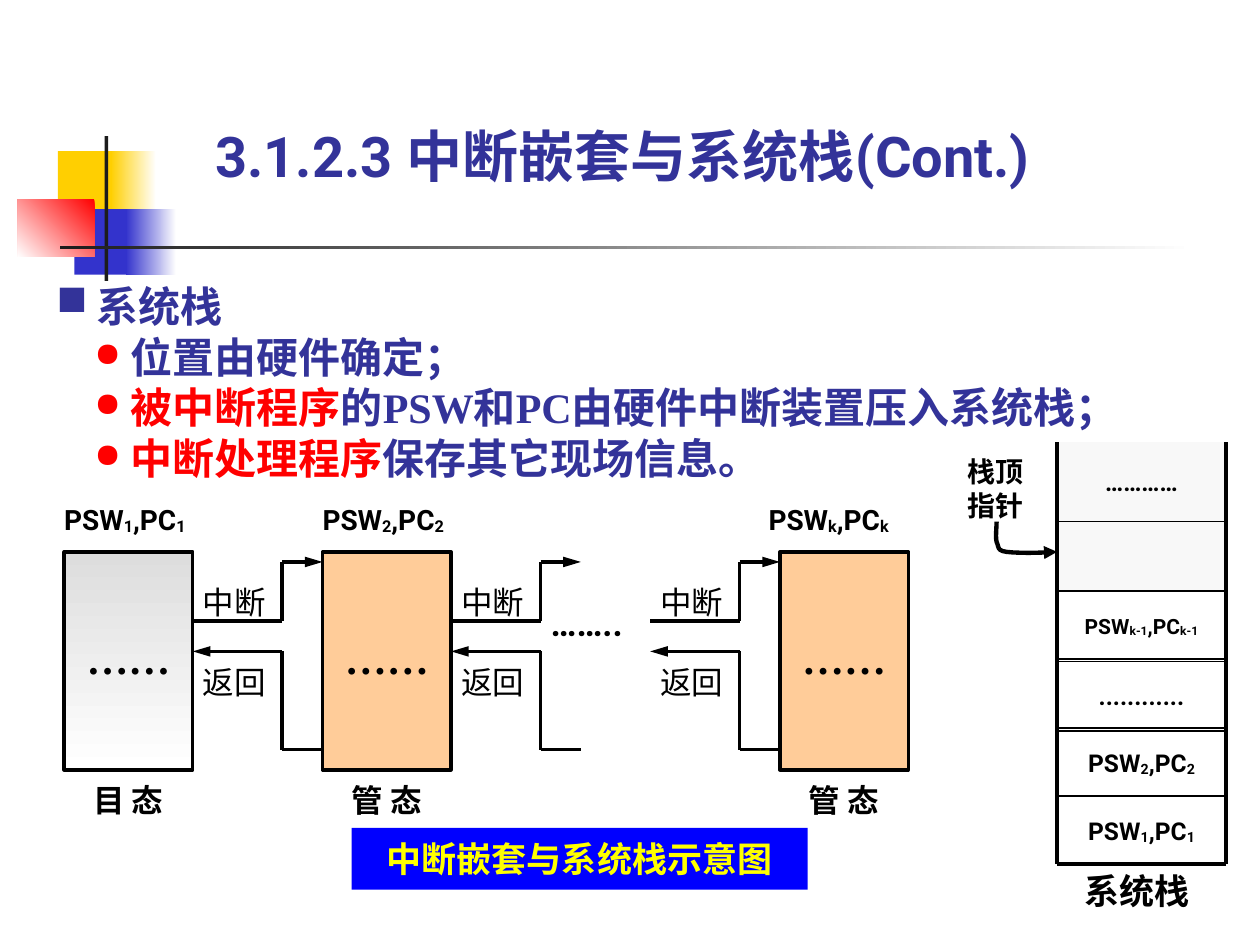
from lxml import etree
from pptx import Presentation
from pptx.dml.color import RGBColor
from pptx.enum.shapes import MSO_CONNECTOR, MSO_SHAPE
from pptx.enum.text import MSO_ANCHOR as ANCHOR, PP_ALIGN as ALIGN
from pptx.oxml.ns import qn
from pptx.util import Inches, Pt

BLACK = RGBColor(0, 0, 0)
WHITE = RGBColor(255, 255, 255)
NAVY = RGBColor(0x33, 0x33, 0x99)
INDIGO = RGBColor(0x33, 0x33, 0xCC)
RED = RGBColor(255, 0, 0)
GOLD = RGBColor(0xFF, 0xCF, 0x01)
YELLOW = RGBColor(255, 255, 0)
BLUE = RGBColor(0, 0, 255)
PEACH = RGBColor(0xFF, 0xCC, 0x99)
CHARCOAL = RGBColor(0x1C, 0x1C, 0x1C)
GREY = RGBColor(0xDD, 0xDD, 0xDD)
PALE = RGBColor(0xF8, 0xF8, 0xF8)
SERIF, SANS = "Times New Roman", "Roboto"

deck = Presentation()
deck.slide_width, deck.slide_height = Inches(10), Inches(7.5)
page = deck.slides.add_slide(deck.slide_layouts[6])


def add_box(place, text="", size=18, font=SERIF, color=BLACK, bold=True,
            fill=None, angle=0, border=None, align=ALIGN.LEFT,
            anchor=ANCHOR.TOP, insets=(0, 0, 0, 0), wrap=True):
    """Add a rectangle; a colour pair is a gradient, text between bars is subscript."""
    box = page.shapes.add_shape(MSO_SHAPE.RECTANGLE, *[Inches(v) for v in place])
    box.shadow.inherit = False
    if fill is None:
        box.fill.background()
    elif isinstance(fill, list):
        box.fill.gradient()
        box.fill.gradient_angle = angle
        for stop, shade in zip(box.fill.gradient_stops, fill):
            stop.color.rgb = shade
    else:
        box.fill.solid()
        box.fill.fore_color.rgb = fill
    if border:
        box.line.color.rgb = BLACK
        box.line.width = Pt(border)
    else:
        box.line.fill.background()
    frame = box.text_frame
    frame.word_wrap = wrap
    frame.vertical_anchor = anchor
    (frame.margin_left, frame.margin_top,
     frame.margin_right, frame.margin_bottom) = [Inches(v) for v in insets]
    para = frame.paragraphs[0]
    para.alignment = align
    for index, part in enumerate(text.split("|")):
        if part:
            span = para.add_run()
            span.text = part
            span.font.size, span.font.name = Pt(size), font
            span.font.bold, span.font.color.rgb = bold, color
            if index % 2:
                span.font._element.set("baseline", "-8000")
    return box


def add_line(x1, y1, x2, y2, width=2, arrow=None):
    """Add a black line; arrow is headEnd or tailEnd."""
    line = page.shapes.add_connector(
        MSO_CONNECTOR.STRAIGHT, Inches(x1), Inches(y1), Inches(x2), Inches(y2))
    line.line.color.rgb = BLACK
    line.line.width = Pt(width)
    if arrow:
        etree.SubElement(line.line._get_or_add_ln(), qn("a:" + arrow),
                         type="triangle", w="med", len="lg")
    etree.SubElement(line._element.spPr, qn("a:effectLst"))


# Corner decoration and title rule
for place, fill, angle in [
    ((0.46, 1.2, 0.48, 0.52), GOLD, 0),
    ((0.88, 1.2, 0.36, 0.52), [WHITE, GOLD], 180),
    ((0.59, 1.66, 0.46, 0.52), INDIGO, 0),
    ((1, 1.66, 0.4, 0.52), [WHITE, INDIGO], 180),
    ((0.14, 1.58, 0.61, 0.46), [RED, WHITE], 225),
    ((0.83, 1.08, 0.03, 1.15), CHARCOAL, 0),
    ((0.48, 1.95, 9, 0.03), [WHITE, CHARCOAL], 180),
]:
    add_box(place, fill=fill, angle=angle)

# Title
add_box((1.61, 0.91, 7.09, 0.64), "3.1.2.3 中断嵌套与系统栈(Cont.)", 32, SANS, NAVY,
        anchor=ANCHOR.BOTTOM, insets=(0.1, 0.05, 0.1, 0.05))

# Bulleted text
body = page.shapes.add_textbox(Inches(0.35), Inches(2.18), Inches(9.37), Inches(1.7))
body.text_frame.word_wrap = True
for index, (level, spans) in enumerate([
    (0, [("系统栈", NAVY)]),
    (1, [("位置由硬件确定；", NAVY)]),
    (1, [("被中断程序", RED), ("的PSW和PC由硬件中断装置压入系统栈；", NAVY)]),
    (1, [("中断处理程序", RED), ("保存其它现场信息。", NAVY)]),
]):
    para = body.text_frame.paragraphs[0] if index == 0 else body.text_frame.add_paragraph()
    para.level = level
    props = para._p.get_or_add_pPr()
    left, hang, mark, color, scale = [
        (0.32, 0.32, "■", NAVY, 100), (0.59, 0.29, "●", RED, 80)][level]
    props.set("marL", str(Inches(left)))
    props.set("indent", str(-Inches(hang)))
    bullet_color = etree.SubElement(props, qn("a:buClr"))
    etree.SubElement(bullet_color, qn("a:srgbClr"), val=str(color))
    etree.SubElement(props, qn("a:buSzPct"), val=str(scale * 1000))
    etree.SubElement(props, qn("a:buChar"), char=mark)
    for text, shade in spans:
        span = para.add_run()
        span.text = text
        span.font.size, span.font.name = Pt(24), SERIF
        span.font.bold, span.font.color.rgb = True, shade

# System stack cells
for top, height, text, size, fill in [
    (3.51, 0.63, "…………", 14, PALE),
    (4.14, 0.55, "", 14, PALE),
    (4.69, 0.55, "PSW|k-1|,PC|k-1|", 12, None),
    (5.25, 0.54, "............", 14, None),
    (5.78, 0.55, "PSW|2|,PC|2|", 14, None),
    (6.32, 0.54, "PSW|1|,PC|1|", 14, None),
]:
    add_box((8.39, top, 1.34, height), text, size, SANS, fill=fill, align=ALIGN.CENTER,
            anchor=ANCHOR.MIDDLE, insets=(0.1, 0.05, 0.1, 0.05))

# System stack rules, sides and caption
for y in (4.14, 4.69, 5.23, 5.25, 5.78, 5.8, 6.32):
    add_line(8.39, y, 9.73, y, 1)
add_line(8.39, 6.86, 9.73, 6.86, 2.25)
for x in (8.39, 9.73):
    add_line(x, 3.51, x, 6.86, 2.25)
add_box((8.61, 6.9, 1.04, 0.33), "系统栈", 20)

# Stack top pointer: label and curved arrow
add_box((7.68, 3.61, 0.47, 0.53), "栈顶指针", 16)
curves = [
    [(7.91, 4.14), (7.91, 4.2), (7.9, 4.26), (7.91, 4.3)],
    [(7.91, 4.3), (7.93, 4.34), (7.91, 4.37), (7.99, 4.38)],
    [(7.99, 4.38), (8.07, 4.39), (8.23, 4.39), (8.39, 4.38)],
]
points = []
for curve in curves:
    for step in range(1, 7):
        t = step / 6
        weights = ((1 - t) ** 3, 3 * t * (1 - t) ** 2, 3 * t ** 2 * (1 - t), t ** 3)
        points.append(tuple(
            Inches(sum(w * point[axis] for w, point in zip(weights, curve)))
            for axis in (0, 1)))
builder = page.shapes.build_freeform(Inches(7.91), Inches(4.14))
builder.add_line_segments(points, close=False)
pointer = builder.convert_to_shape()
pointer.shadow.inherit = False
pointer.fill.background()
pointer.line.color.rgb = BLACK
pointer.line.width = Pt(2.5)
etree.SubElement(pointer.line._get_or_add_ln(), qn("a:tailEnd"), type="triangle")

# Program states
for left, label_left, label, state, fill in [
    (0.51, 0.51, "PSW|1|,PC|1|", "目 态", [GREY, WHITE]),
    (2.56, 2.56, "PSW|2|,PC|2|", "管 态", PEACH),
    (6.19, 6.1, "PSW|k|,PC|k|", "管 态", PEACH),
]:
    add_box((left, 4.38, 1.02, 1.73), "……", 24, fill=fill, angle=270, border=2,
            align=ALIGN.CENTER, anchor=ANCHOR.MIDDLE, insets=(0.1, 0, 0.1, 0.05), wrap=False)
    add_box((label_left, 3.99, 1.42, 0.27), label, 16, SANS)
    add_box((left + 0.23, 6.2, 0.71, 0.3), state)

# Interrupt and return links
for left in (1.53, 3.58, 5.16):
    bend, right = left + 0.71, left + 1.03
    add_line(left, 4.93, bend, 4.93)
    add_line(bend, 4.93, bend, 4.46)
    add_line(bend, 4.46, right, 4.46, arrow="tailEnd")
    add_line(left, 5.17, bend, 5.17, arrow="headEnd")
    add_line(bend, 5.17, bend, 5.95)
    add_line(bend, 5.95, right, 5.95)
    add_box((left + 0.08, 4.63, 0.71, 0.3), "中断", bold=False)
    add_box((left + 0.08, 5.26, 0.71, 0.3), "返回", bold=False)
add_box((4.37, 4.77, 0.71, 0.33), "……..", 20, SANS)

# Diagram caption
add_box((2.79, 6.57, 3.62, 0.49), "中断嵌套与系统栈示意图", 20, color=YELLOW, fill=BLUE,
        align=ALIGN.CENTER, insets=(0.24, 0.08, 0.24, 0.08))

deck.save("out.pptx")
